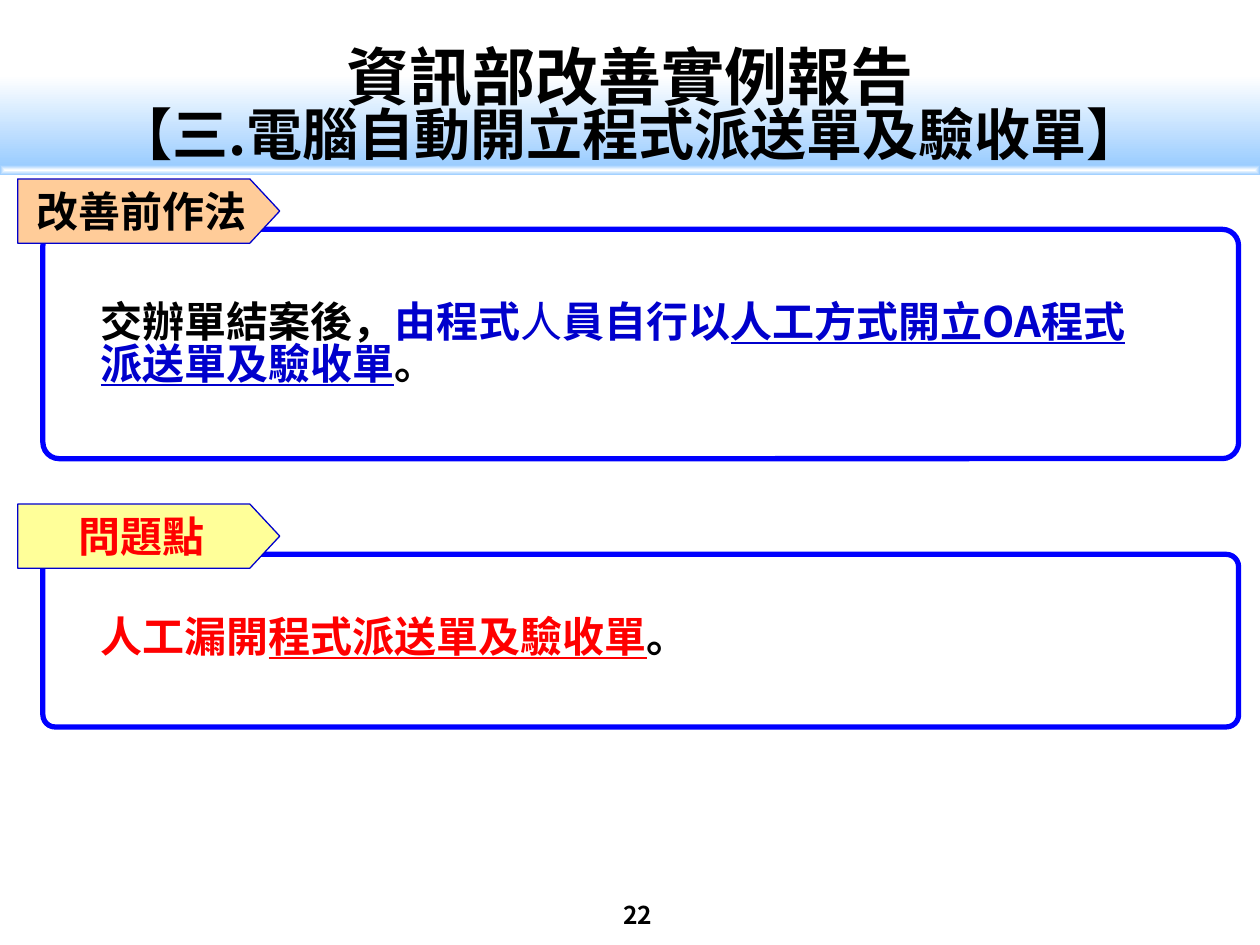
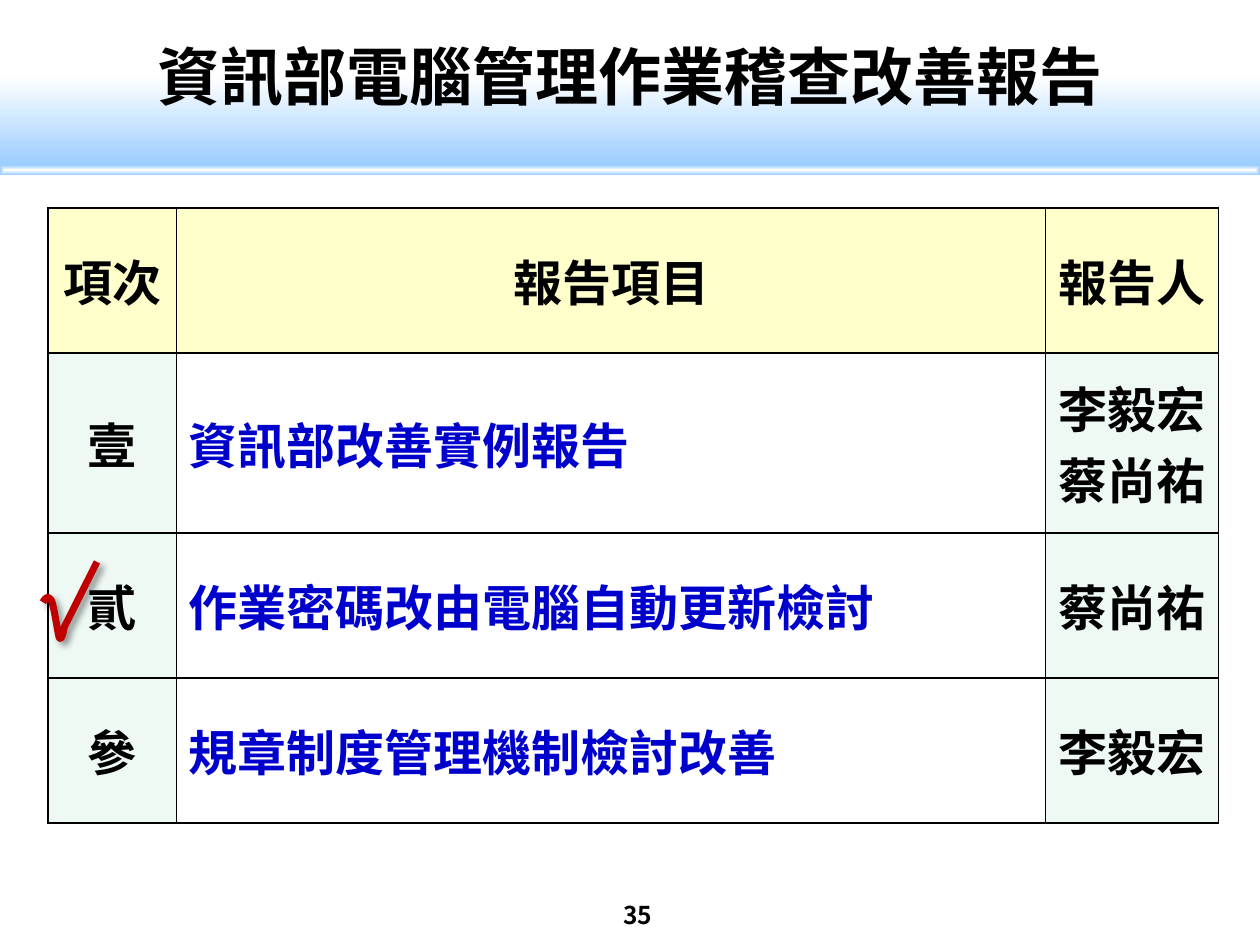
from lxml import etree
from pptx import Presentation
from pptx.dml.color import RGBColor
from pptx.enum.shapes import MSO_SHAPE
from pptx.enum.text import MSO_ANCHOR, MSO_AUTO_SIZE, PP_ALIGN
from pptx.oxml import parse_xml
from pptx.oxml.ns import nsdecls, qn
from pptx.util import Inches, Pt

FONT = "Noto Sans CJK SC"
COLORS = {
    "black": "000000", "white": "FFFFFF", "sky": "99CCFF", "blue": "0000CC",
    "frame": "0000FF", "red": "FF0000", "peach": "FFCC99", "yellow": "FFFF99",
    "header": "FFFFCC", "mint": "EEF9F4", "check": "C00000",
}


def rgb(name):
    return RGBColor.from_string(COLORS[name])


def style_span(span, size, color="black", bold=True, underline=False):
    font = span.font
    font.size, font.bold, font.underline = Pt(size), bold, underline
    font.color.rgb = rgb(color)
    font.name = FONT
    latin = span._r.rPr.find(qn("a:latin"))
    latin.addnext(parse_xml(f'<a:ea {nsdecls("a")} typeface="{FONT}"/>'))


def write(frame, text, size, color="black", align=PP_ALIGN.CENTER):
    frame.text = text
    for para in frame.paragraphs:
        para.alignment = align
        for span in para.runs:
            style_span(span, size, color)


def set_insets(frame, inset=0):
    frame.margin_left = frame.margin_right = Inches(inset)
    frame.margin_top = frame.margin_bottom = Inches(inset)


def place(shape, box):
    shape.left, shape.top, shape.width, shape.height = map(Inches, box)


def add_text_box(page, box):
    shape = page.shapes.add_textbox(*map(Inches, box))
    shape.text_frame.word_wrap = True
    return shape.text_frame


def add_outlined(page, kind, box, corner, line, width, fill=None):
    shape = page.shapes.add_shape(kind, *map(Inches, box))
    shape.shadow.inherit = False
    shape.adjustments[0] = corner
    shape.line.color.rgb = rgb(line)
    shape.line.width = Pt(width)
    if fill:
        shape.fill.solid()
        shape.fill.fore_color.rgb = rgb(fill)
    else:
        shape.fill.background()
    return shape


def add_band(page, box, from_center=False):
    """White-to-sky gradient bar, running downwards or out from its centre."""
    band = page.shapes.add_shape(MSO_SHAPE.RECTANGLE, *map(Inches, box))
    band.shadow.inherit = False
    band.line.fill.background()
    band.fill.gradient()
    band.fill.gradient_angle = 270
    for stop, color in zip(band.fill.gradient_stops, ("white", "sky")):
        stop.color.rgb = rgb(color)
    if from_center:
        linear = band.element.spPr.find(qn("a:gradFill")).find(qn("a:lin"))
        linear.getparent().replace(linear, parse_xml(
            f'<a:path {nsdecls("a")} path="shape">'
            '<a:fillToRect l="50000" t="50000" r="50000" b="50000"/></a:path>'))


def add_heading(page, box, text, size, title=None):
    """Centred heading line, in the title placeholder when one is given."""
    frame = title.text_frame if title else add_text_box(page, box)
    if title:
        place(title, box)
    frame.word_wrap = True
    frame.auto_size = MSO_AUTO_SIZE.NONE
    frame.vertical_anchor = MSO_ANCHOR.MIDDLE
    set_insets(frame)
    write(frame, text, size)


def add_page(deck, title, number):
    page = deck.slides.add_slide(deck.slide_layouts.get_by_name("Title Only"))
    add_band(page, (0, 0.6, 10, 0.73))
    add_band(page, (0, 1.31, 10, 0.08), from_center=True)
    page.shapes.element.append(page.shapes.title.element)
    add_heading(page, (0, 0.29, 10, 0.61), title, 36, page.shapes.title)
    footer = add_text_box(page, (4.59, 7.14, 0.94, 0.24))
    set_insets(footer)
    write(footer, str(number), 14)
    return page


def add_section(page, box, label, label_color, fill, text_offset, spans):
    """Rounded frame with an arrow label on its upper left corner."""
    left, top, width, height = box
    add_outlined(page, MSO_SHAPE.ROUNDED_RECTANGLE, box, 0.071, "frame", 3)
    tag = add_outlined(page, MSO_SHAPE.PENTAGON, (left - 0.2, top - 0.4, 2.08, 0.51),
                       0.465, "blue", 0.75, fill)
    tag.text_frame.vertical_anchor = MSO_ANCHOR.MIDDLE
    write(tag.text_frame, label, 24, label_color)
    frame = add_text_box(page, (left + 0.36, top + text_offset, 8.55, 0.77))
    para = frame.paragraphs[0]
    para.line_spacing = Pt(24)
    for text, look in spans:
        span = para.add_run()
        span.text = text
        style_span(span, 24, **look)


def style_cell(cell, text, fill, color="black", align=PP_ALIGN.CENTER):
    write(cell.text_frame, text, 28, color, align)
    cell.vertical_anchor = MSO_ANCHOR.MIDDLE
    cell.fill.solid()
    cell.fill.fore_color.rgb = rgb(fill)
    properties = cell._tc.get_or_add_tcPr()
    for index, side in enumerate("LRTB"):
        properties.insert(index, parse_xml(
            f'<a:ln{side} {nsdecls("a")} w="12700"><a:solidFill>'
            f'<a:srgbClr val="{COLORS["black"]}"/></a:solidFill></a:ln{side}>'))


def add_agenda(page, left, top, widths, heights, rows):
    box = (left, top, sum(widths), sum(heights))
    table = page.shapes.add_table(len(rows), len(widths), *map(Inches, box)).table
    table.first_row = table.horz_banding = False
    for column, width in zip(table.columns, widths):
        column.width = Inches(width)
    for row, height in zip(table.rows, heights):
        row.height = Inches(height)
    for row_index, row in enumerate(rows):
        for column_index, text in enumerate(row):
            cell = table.cell(row_index, column_index)
            if row_index == 0:
                style_cell(cell, text, "header")
            elif column_index == 1:
                style_cell(cell, text, "white", "blue", PP_ALIGN.LEFT)
            else:
                style_cell(cell, text, "mint")


def curve_points(start, first, second, end, steps=12):
    """Points along a cubic curve, without its start."""
    for step in range(1, steps + 1):
        t = step / steps
        weights = ((1 - t) ** 3, 3 * t * (1 - t) ** 2, 3 * t * t * (1 - t), t ** 3)
        yield tuple(sum(weight * point[axis] for weight, point
                        in zip(weights, (start, first, second, end)))
                    for axis in (0, 1))


def add_check_mark(page, left, top):
    curves = [((0.02, 0.29), (0.04, 0.26), (0.07, 0.31)),
              ((0.09, 0.36), (0.12, 0.57), (0.13, 0.6)),
              ((0.15, 0.64), (0.17, 0.52), (0.17, 0.52))]
    points = [(0, 0.32)]
    for curve in curves:
        points.extend(curve_points(points[-1], *curve))
    points.append((0.43, 0))
    points = [(Inches(left + x), Inches(top + y)) for x, y in points]
    builder = page.shapes.build_freeform(*points[0])
    builder.add_line_segments(points[1:], close=False)
    mark = builder.convert_to_shape()
    mark.fill.background()
    mark.line.color.rgb = rgb("check")
    mark.line.width = Pt(4)
    mark.shadow.inherit = False
    effects = mark.element.spPr.find(qn("a:effectLst"))
    shadow = etree.SubElement(effects, qn("a:outerShdw"), blurRad=str(Pt(4)),
                              dist=str(Pt(3)), dir="2700000", algn="tl", rotWithShape="0")
    tone = etree.SubElement(shadow, qn("a:srgbClr"), val=COLORS["black"])
    etree.SubElement(tone, qn("a:alpha"), val="40000")


def build_improvement_page(deck):
    page = add_page(deck, "資訊部改善實例報告", 22)
    add_heading(page, (0, 0.79, 10, 0.53), "【三.電腦自動開立程式派送單及驗收單】", 32)
    add_section(page, (0.34, 1.82, 9.49, 1.82), "改善前作法", "black", "peach", 0.54, [
        ("交辦單結案後，", {}),
        ("由程式", {"color": "blue"}),
        ("人", {"color": "blue", "bold": False}),
        ("員自行以", {"color": "blue"}),
        ("人工方式開立OA程式派送單及驗收單", {"color": "blue", "underline": True}),
        ("。", {}),
    ])
    add_section(page, (0.34, 4.4, 9.49, 1.37), "問題點", "red", "yellow", 0.46, [
        ("人工漏開", {"color": "red"}),
        ("程式派送單及驗收單", {"color": "red", "underline": True}),
        ("。", {}),
    ])


def build_agenda_page(deck):
    page = add_page(deck, "資訊部電腦管理作業稽查改善報告", 35)
    add_agenda(page, 0.38, 1.65, (1.02, 6.9, 1.37), (1.15, 1.43, 1.15, 1.15), [
        ("項次", "報告項目", "報告人"),
        ("壹", "資訊部改善實例報告", "李毅宏\n蔡尚祐"),
        ("貳", "作業密碼改由電腦自動更新檢討", "蔡尚祐"),
        ("參", "規章制度管理機制檢討改善", "李毅宏"),
    ])
    add_check_mark(page, 0.34, 4.46)


def main():
    deck = Presentation()
    deck.slide_width, deck.slide_height = Inches(10), Inches(7.5)
    build_improvement_page(deck)
    build_agenda_page(deck)
    deck.save("out.pptx")


if __name__ == "__main__":
    main()
